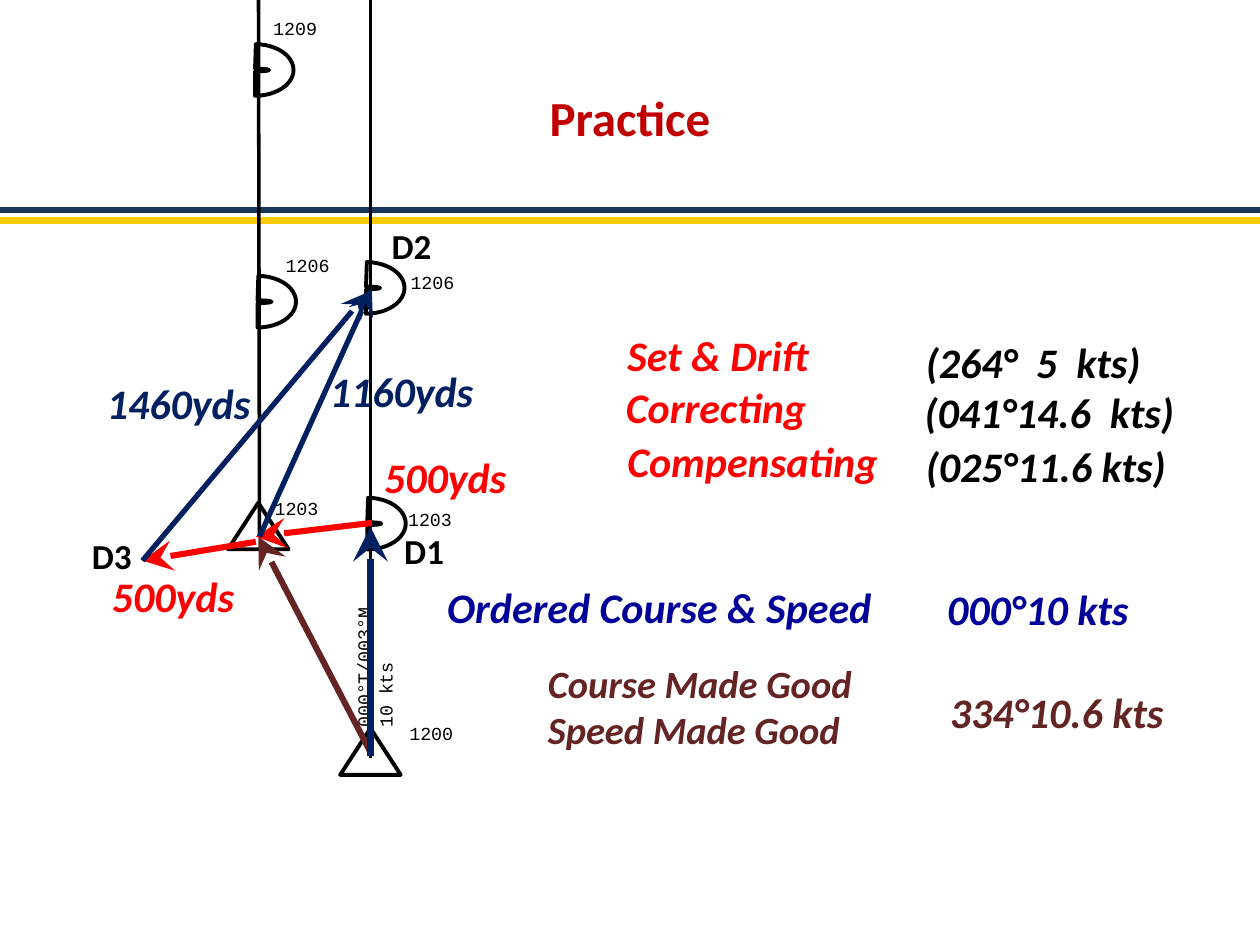
from pptx import Presentation
from pptx.util import Pt
from pptx.dml.color import RGBColor
from pptx.enum.shapes import MSO_SHAPE as SHAPE, MSO_CONNECTOR as CONN
from pptx.enum.text import PP_ALIGN as ALIGN, MSO_ANCHOR as ANCHOR
from pptx.oxml.ns import qn
from lxml.etree import SubElement

BLACK, RED, NAVY, BROWN, BLUE = "000000", "FF0000", "002060", "632423", "000099"


def color(code):
    return RGBColor.from_string(code)


def add_text(slide, text, x, y, w, h, size, code=BLACK, font="Calibri",
             bold=True, italic=False, align=ALIGN.LEFT, anchor=ANCHOR.TOP):
    s = slide.shapes.add_textbox(Pt(x), Pt(y), Pt(w), Pt(h))
    tf = s.text_frame
    tf.word_wrap = True
    tf.vertical_anchor = anchor
    tf.text = text
    for p in tf.paragraphs:
        p.alignment = align
        for r in p.runs:
            r.font.name, r.font.size = font, Pt(size)
            r.font.bold, r.font.italic = bold, italic
            r.font.color.rgb = color(code)
    return s


def add_line(slide, x1, y1, x2, y2, code, width, arrow=False):
    s = slide.shapes.add_connector(CONN.STRAIGHT, Pt(x1), Pt(y1), Pt(x2), Pt(y2))
    s.line.color.rgb = color(code)
    s.line.width = Pt(width)
    spPr = s._element.spPr
    if arrow:
        SubElement(spPr.find(qn("a:ln")), qn("a:tailEnd"), type="stealth", w="lg", len="lg")
    SubElement(spPr, qn("a:effectLst"))


def add_mark(slide, kind, x, y, w, h):
    s = slide.shapes.add_shape(kind, Pt(x), Pt(y), Pt(w), Pt(h))
    s.shadow.inherit = False
    s.fill.background()
    s.line.color.rgb = color(BLACK)
    s.line.width = Pt(2.25)
    s._element.spPr.find(qn("a:xfrm")).set("flipH", "1")
    return s


def add_header(slide, x, y, w):
    add_line(slide, x, y + 126, x + w, y + 126, "FFCC00", 3.5)
    add_line(slide, x, y + 120.2, x + w, y + 120.2, "17365D", 3.5)
    add_text(slide, "Practice", x + 36, y + 21.6, w - 72, 90, 28, "C00000",
             align=ALIGN.CENTER, anchor=ANCHOR.MIDDLE)


def add_tracks(slide, x, y):
    add_line(slide, x + 166.7, y + 433.4, x + 166.7, y - 18.7, BLACK, 2)
    add_line(slide, x + 103.3, y + 306.7, x + 102.6, y - 57.6, BLACK, 2)
    w, h = 29.5, 44
    for cx, cy in [(164.9, 299.2), (164.2, 164.5), (100.8, 40), (102.2, 172.4)]:
        s = add_mark(slide, SHAPE.BLOCK_ARC, x + cx - w / 2, y + cy - h / 2, w, h)
        s.rotation = 90
        for i, value in enumerate([108, 214.907, 0.474]):
            s.adjustments[i] = value
    for dx, dy in [(149.4, 416.2), (85.3, 287.3)]:
        add_mark(slide, SHAPE.ISOSCELES_TRIANGLE, x + dx, y + dy, 34.6, 26.6)

    mono = dict(size=10.5, font="Courier New", bold=False)
    s = add_text(slide, "000°T/003°M\n10 kts", x + 115.6, y + 339.1, 121, 46.8, **mono)
    s.rotation = 270
    for time, dx, dy in [("1200", 181.8, 409), ("1203", 181.1, 286.6),
                         ("1206", 182.5, 151.2), ("1203", 104.8, 280.8),
                         ("1206", 111.2, 141.8), ("1209", 104, 6.5)]:
        add_text(slide, time, x + dx, y + dy, 58.3, 23.8, **mono)


def add_vectors(slide, x, y):
    for x1, y1, x2, y2, code, width in [
            (166.7, 429.8, 102.6, 306.7, BROWN, 3.5),
            (166.7, 432, 166.7, 301, NAVY, 4),
            (167.4, 298.8, 101.2, 306.7, RED, 3.5),
            (103.3, 306.7, 167.4, 164.9, NAVY, 3),
            (101.2, 309.6, 36.4, 320.4, RED, 3.5),
            (36.4, 320.4, 165.2, 167, NAVY, 3)]:
        add_line(slide, x + x1, y + y1, x + x2, y + y2, code, width, arrow=True)
    for text, dx, dy, w, code in [("1160yds", 136.4, 205.2, 100.8, NAVY),
                                  ("1460yds", 9, 212.4, 105.8, NAVY),
                                  ("500yds", 167.4, 254.2, 93.6, RED),
                                  ("500yds", 11.9, 322.6, 93.6, RED)]:
        add_text(slide, text, x + dx, y + dy, w, 36.4, 24, code, italic=True)
    for text, dx, dy in [("D2", 171.7, 124.6), ("D1", 178.9, 298.8), ("D3", 0.4, 301.7)]:
        add_text(slide, text, x + dx, y + dy, 54, 31.5, 20)


def add_answers(slide, x, y):
    for label, dx, dy, w, size, code, value, vx, vy, vcode in [
            ("Set & Drift", 103.4, 0, 183, 24, RED,
             "(264°  5  kts)", 274, 3.6, BLACK),
            ("Correcting", 102.6, 29.6, 183, 24, RED,
             "(041°14.6  kts)", 273.3, 32.4, BLACK),
            ("Compensating", 103.4, 60.5, 183, 24, RED,
             "(025°11.6 kts)", 274, 63.4, BLACK),
            ("Ordered Course & Speed", 0.4, 144, 270.7, 24, BLUE,
             "000°10 kts", 286.2, 144.8, BLUE),
            ("Course Made Good \vSpeed Made Good", 58, 188.7, 207.4, 22, BROWN,
             "334°10.6 kts", 287.7, 203.8, "632523")]:
        h = 60.5 if "\v" in label else 36.4
        add_text(slide, label, x + dx, y + dy, w, h, size, code, italic=True)
        add_text(slide, value, x + vx, y + vy, 180, 36.4, 24, vcode, italic=True)


def main():
    prs = Presentation()
    prs.slide_width, prs.slide_height = Pt(720), Pt(540)
    slide = prs.slides.add_slide(prs.slide_layouts[6])
    add_header(slide, 0, 0, 720)
    add_tracks(slide, 45, 0)
    add_vectors(slide, 45, 0)
    add_answers(slide, 248, 185)
    prs.save("out.pptx")


if __name__ == "__main__":
    main()
